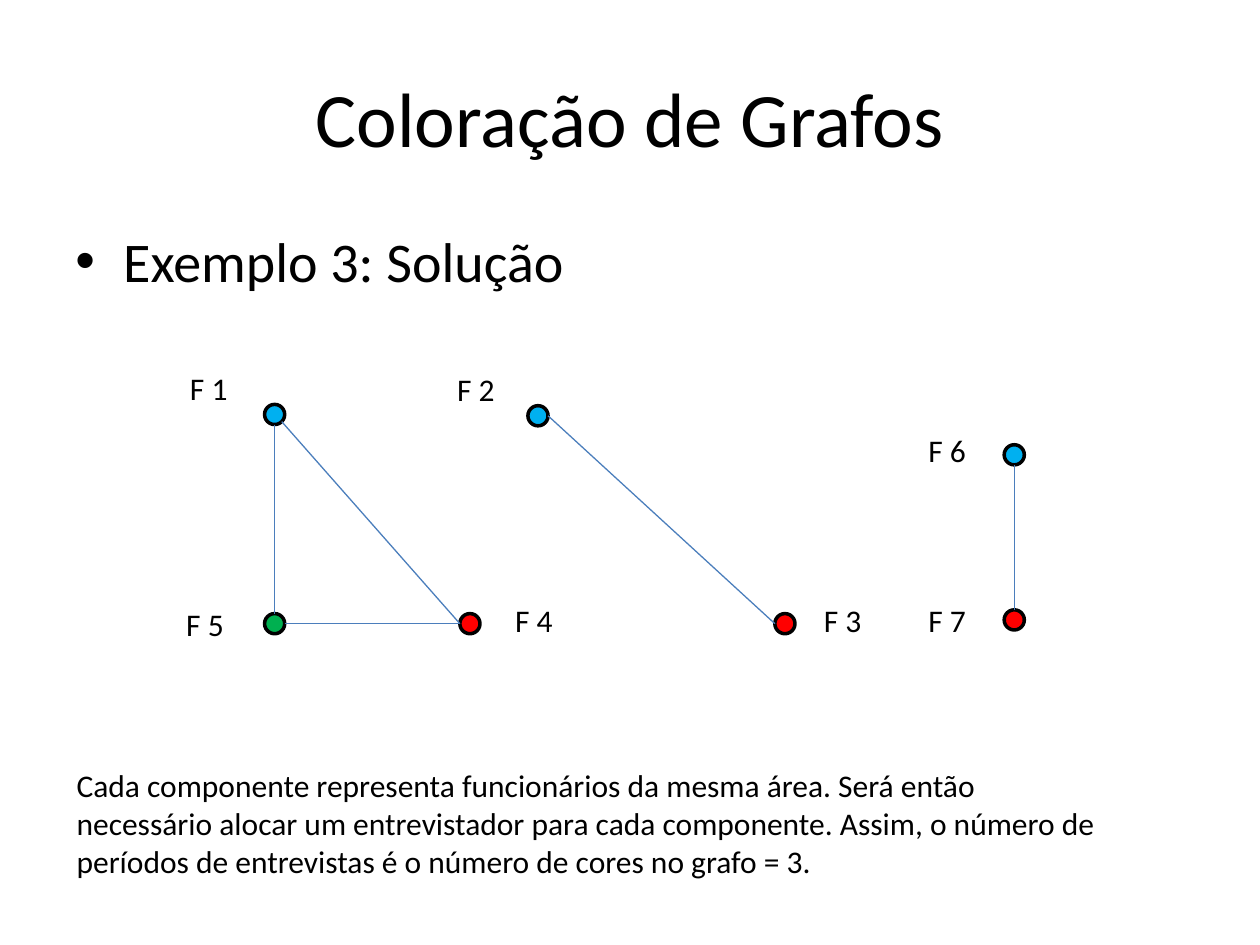
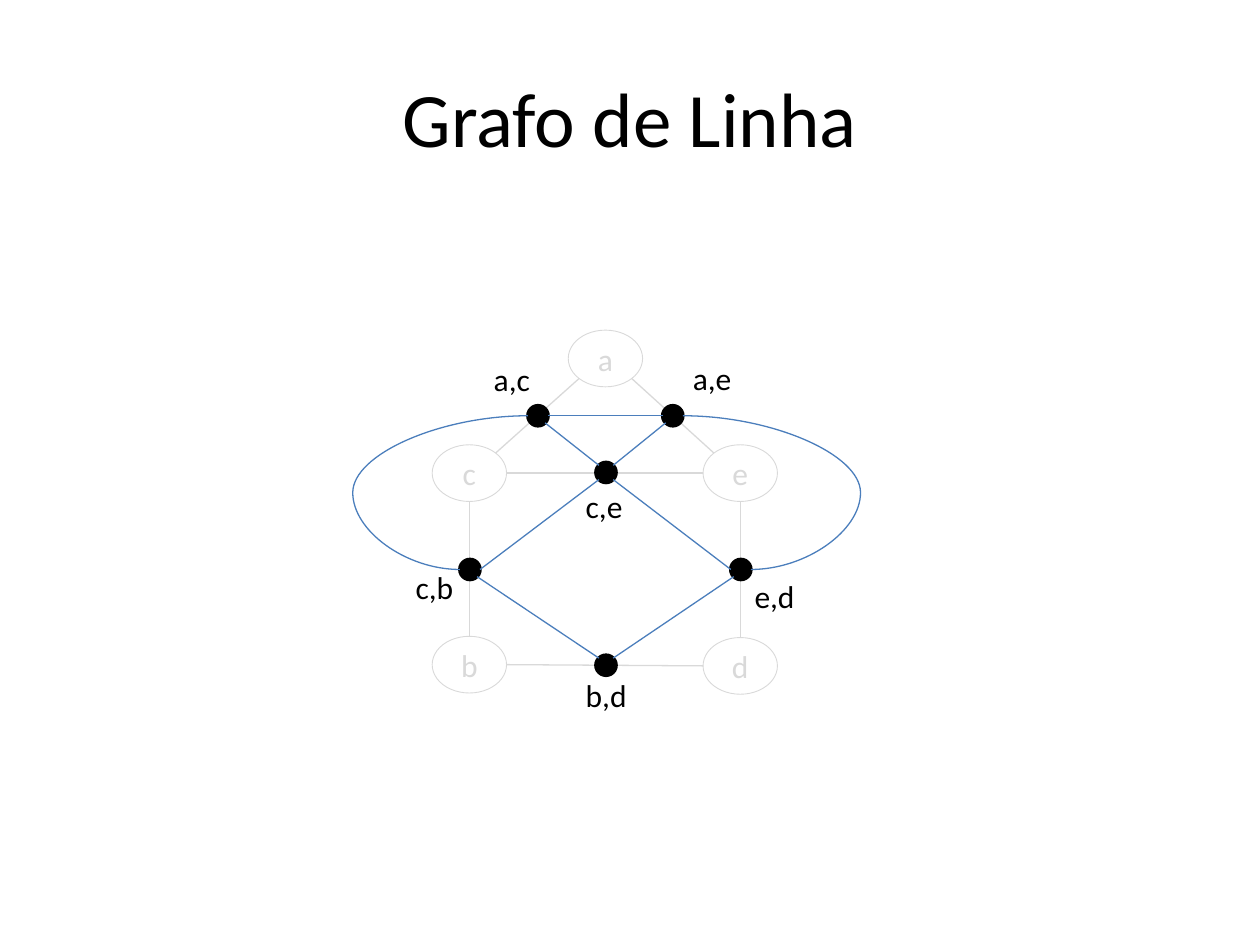
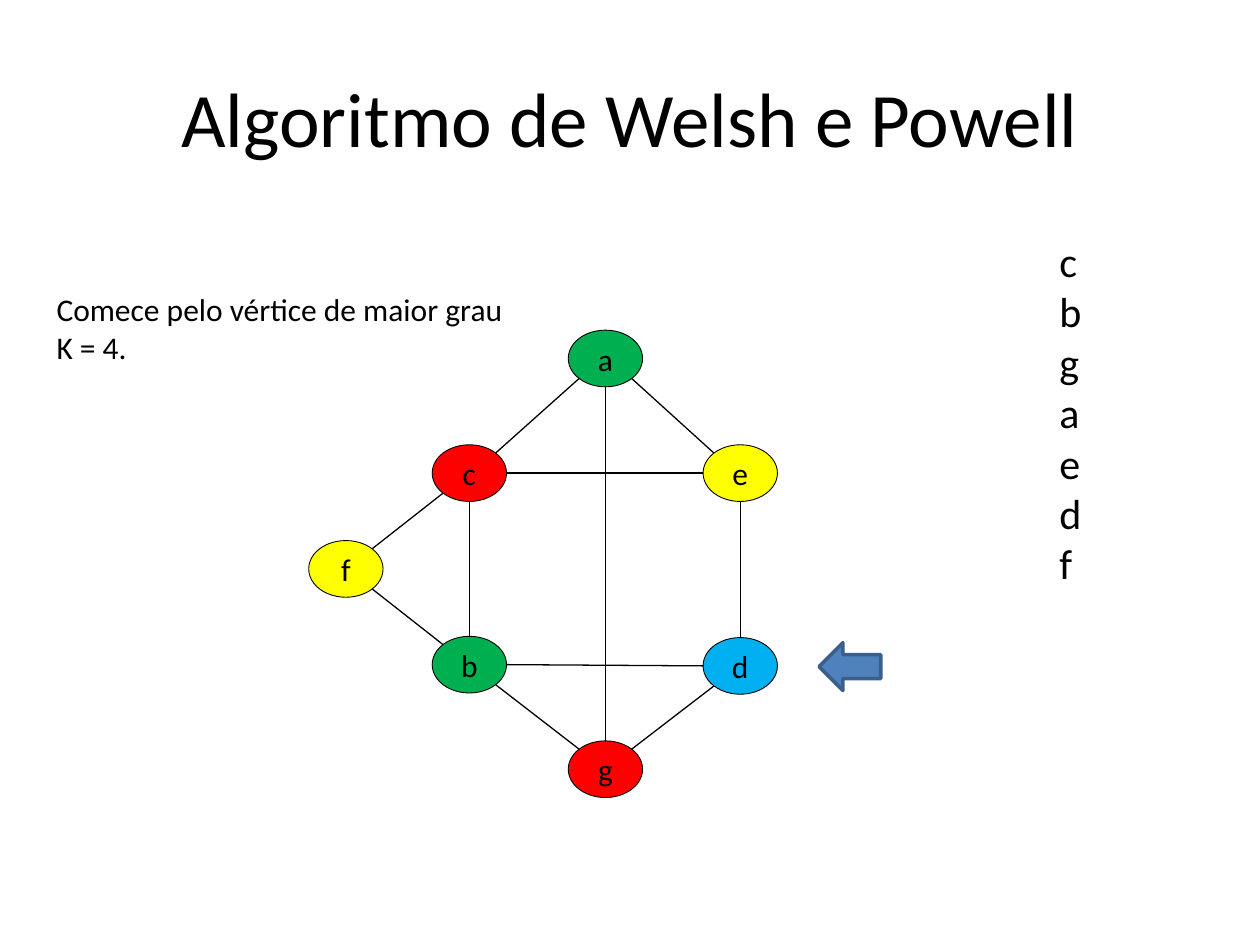
from math import cos, radians, sin

from lxml.etree import SubElement
from pptx import Presentation
from pptx.dml.color import RGBColor
from pptx.enum.shapes import MSO_CONNECTOR as CXN, MSO_SHAPE as SHAPE
from pptx.enum.text import MSO_ANCHOR as ANCHOR, MSO_AUTO_SIZE as FIT, PP_ALIGN as ALIGN
from pptx.oxml.ns import qn
from pptx.util import Inches, Pt

BLACK, WHITE, GREY = "000000", "FFFFFF", "D9D9D9"
RED, GREEN, BLUE, YELLOW = "FF0000", "00B050", "00B0F0", "FFFF00"
EDGE, ARROW, ARROW_LINE = "4B7EBC", "4F81BD", "3A5F8C"
ANGLES = {side: 45 * i for i, side in enumerate(("e", "se", "s", "sw", "w", "nw", "n", "ne"))}

VERTICES = {"a": (4.51, 2.62), "c": (3.43, 3.53), "e": (5.58, 3.53),
            "b": (3.43, 5.05), "d": (5.58, 5.06)}
EDGES = [("a", "sw", "c", "ne"), ("c", "s", "b", "n"), ("e", "w", "c", "e"),
         ("a", "se", "e", "nw"), ("d", "n", "e", "s"), ("d", "w", "b", "e")]


def rgb(value):
    """Turn a hex string into a colour."""
    return RGBColor.from_string(value)


def site(sp, side):
    """Find the point of an ellipse at a compass side."""
    angle = radians(ANGLES[side])
    x = sp.left + sp.width / 2 * (1 + cos(angle))
    y = sp.top + sp.height / 2 * (1 + sin(angle))
    return round(x), round(y)


class Deck:
    """Hold the style and the current slide."""

    font = "Calibri"
    dot_size = 0.16
    vertex_size = (0.59, 0.45)

    def __init__(self):
        """Start an empty 4:3 presentation."""
        self.prs = Presentation()
        self.prs.slide_width, self.prs.slide_height = Inches(10), Inches(7.5)

    def slide(self, title):
        """Add a slide with its title."""
        self.s = self.prs.slides.add_slide(self.prs.slide_layouts[5])
        sp = self.s.shapes.title
        box = dict(left=0.5, top=0.3, width=9, height=1.25)
        for name, value in box.items():
            setattr(sp, name, Inches(value))
        sp.text_frame.vertical_anchor = ANCHOR.MIDDLE
        self.fill_text(sp.text_frame, [title], 44, align=ALIGN.CENTER)

    def fill_text(self, tf, lines, size=18, color=BLACK, align=ALIGN.LEFT):
        """Fill a text frame with one paragraph per line."""
        style = dict(name=self.font, size=Pt(size))
        for i, line in enumerate(lines):
            p = tf.add_paragraph() if i else tf.paragraphs[0]
            p.alignment = align
            r = p.add_run()
            r.text = line
            for name, value in style.items():
                setattr(r.font, name, value)
            r.font.color.rgb = rgb(color)

    def text(self, x, y, w, h, *lines, size=18, wrap=False):
        """Add a text box and return its frame."""
        tf = self.s.shapes.add_textbox(*map(Inches, (x, y, w, h))).text_frame
        tf.word_wrap = wrap
        tf.auto_size = FIT.SHAPE_TO_FIT_TEXT
        self.fill_text(tf, lines, size)
        return tf

    def bullet(self, x, y, w, h, line):
        """Add a bulleted line."""
        p = self.text(x, y, w, h, line, size=32, wrap=True).paragraphs[0]
        pPr = p._p.get_or_add_pPr()
        pPr.set("marL", str(Inches(0.38)))
        pPr.set("indent", str(-Inches(0.38)))
        SubElement(pPr, qn("a:buFont"), typeface="Arial")
        SubElement(pPr, qn("a:buChar"), char="•")

    def shape(self, kind, x, y, w, h, fill, line, width):
        """Add a filled and outlined preset shape."""
        sp = self.s.shapes.add_shape(kind, *map(Inches, (x, y, w, h)))
        sp.shadow.inherit = False
        sp.fill.solid()
        sp.fill.fore_color.rgb = rgb(fill)
        sp.line.color.rgb = rgb(line)
        sp.line.width = Pt(width)
        return sp

    def dot(self, x, y, fill=BLACK):
        """Add a small unlabelled vertex."""
        return self.shape(SHAPE.OVAL, x, y, self.dot_size, self.dot_size, fill, BLACK, 2)

    def vertex(self, name, x, y, fill, color):
        """Add an oval vertex with its name inside."""
        sp = self.shape(SHAPE.OVAL, x, y, *self.vertex_size, fill, color, 0.5)
        sp.text_frame.vertical_anchor = ANCHOR.MIDDLE
        self.fill_text(sp.text_frame, [name], color=color, align=ALIGN.CENTER)
        return sp

    def edge(self, start, end, color, kind=CXN.STRAIGHT):
        """Join two points with a thin line."""
        c = self.s.shapes.add_connector(kind, *start, *end)
        c.line.color.rgb = rgb(color)
        c.line.width = Pt(0.75)
        SubElement(c._element.spPr, qn("a:effectLst"))
        return c

    def edges(self, nodes, links, color=EDGE):
        """Join vertices by name and compass side."""
        for a, side_a, b, side_b in links:
            self.edge(site(nodes[a], side_a), site(nodes[b], side_b), color)

    def curve(self, start, end, bulge):
        """Join two points with a curve that swings out to x = bulge."""
        c = self.edge(start, end, EDGE, CXN.CURVE)
        ratio = (Inches(bulge) - start[0]) / (end[0] - start[0])
        avLst = c._element.spPr.find(qn("a:prstGeom")).get_or_add_avLst()
        SubElement(avLst, qn("a:gd"), name="adj1", fmla=f"val {round(ratio * 100000)}")

    def graph(self, vertices, links, color, fills):
        """Add named oval vertices and the edges between them."""
        nodes = {name: self.vertex(name, *at, fills.get(name, WHITE), color)
                 for name, at in vertices.items()}
        self.edges(nodes, links, color)


def coloring(deck):
    """Show the coloured components of example 3."""
    deck.slide("Coloração de Grafos")
    deck.bullet(0.5, 1.75, 9, 0.74, "Exemplo 3: Solução")
    staff = {"F 1": (2.1, 3.21, BLUE, 1.41, 2.88), "F 2": (4.19, 3.22, BLUE, 3.53, 2.89),
             "F 3": (6.15, 4.87, RED, 6.44, 4.72), "F 4": (3.65, 4.87, RED, 3.99, 4.72),
             "F 5": (2.1, 4.87, GREEN, 1.38, 4.75), "F 6": (7.97, 3.53, BLUE, 7.27, 3.37),
             "F 7": (7.97, 4.84, RED, 7.27, 4.72)}
    dots = {}
    for name, (x, y, fill, label_x, label_y) in staff.items():
        dots[name] = deck.dot(x, y, fill)
        deck.text(label_x, label_y, 0.5, 0.4, name)
    deck.edges(dots, [("F 2", "e", "F 3", "w"), ("F 1", "se", "F 4", "w"),
                      ("F 1", "s", "F 5", "n"), ("F 5", "e", "F 4", "w"),
                      ("F 6", "s", "F 7", "n")])
    deck.text(0.51, 6.03, 8.43, 1.01,
              "Cada componente representa funcionários da mesma área. Será então "
              "necessário alocar um entrevistador para cada componente. Assim, o número "
              "de períodos de entrevistas é o número de cores no grafo = 3.", wrap=True)


def line_graph(deck):
    """Show a line graph over its faded base graph."""
    deck.slide("Grafo de Linha")
    deck.graph(VERTICES, EDGES, GREY, {})
    pairs = {"a,c": (4.19, 3.22, 3.82, 2.81, 0.49), "a,e": (5.26, 3.22, 5.4, 2.8, 0.51),
             "c,e": (4.73, 3.67, 4.55, 3.82, 0.5), "c,b": (3.65, 4.44, 3.2, 4.46, 0.51),
             "e,d": (5.8, 4.44, 5.89, 4.53, 0.53), "b,d": (4.73, 5.2, 4.55, 5.32, 0.53)}
    dots = {}
    for name, (x, y, label_x, label_y, label_w) in pairs.items():
        dots[name] = deck.dot(x, y)
        deck.text(label_x, label_y, label_w, 0.4, name)
    deck.edges(dots, [("c,e", "sw", "c,b", "e"), ("c,e", "nw", "a,c", "se"),
                      ("c,e", "ne", "a,e", "sw"), ("c,e", "se", "e,d", "w"),
                      ("b,d", "ne", "e,d", "sw"), ("b,d", "nw", "c,b", "se"),
                      ("a,c", "e", "a,e", "w")])
    for low, high, side, bulge in (("c,b", "a,c", "w", 2.8), ("e,d", "a,e", "e", 6.83)):
        deck.curve(site(dots[low], side), site(dots[high], side), bulge)


def welsh_powell(deck):
    """Show the colouring order of the algorithm."""
    deck.slide("Algoritmo de Welsh e Powell")
    vertices = {**VERTICES, "g": (4.51, 5.88), "f": (2.45, 4.29)}
    links = EDGES + [("f", "ne", "c", "sw"), ("f", "se", "b", "nw"), ("g", "n", "a", "s"),
                     ("b", "se", "g", "nw"), ("g", "ne", "d", "sw")]
    fills = dict(a=GREEN, b=GREEN, c=RED, g=RED, e=YELLOW, f=YELLOW, d=BLUE)
    deck.graph(vertices, links, BLACK, fills)
    arrow = deck.shape(SHAPE.RIGHT_ARROW, 6.5, 5.1, 0.49, 0.38, ARROW, ARROW_LINE, 2)
    arrow.rotation = 180
    deck.text(0.35, 2.25, 3.79, 0.71, "Comece pelo vértice de maior grau", "K = 4.")
    deck.text(8.31, 1.82, 0.38, 2.93, *"cbgaedf", size=24)


def main():
    """Build and save the slides."""
    deck = Deck()
    for build in (coloring, line_graph, welsh_powell):
        build(deck)
    deck.prs.save("out.pptx")


if __name__ == "__main__":
    main()
